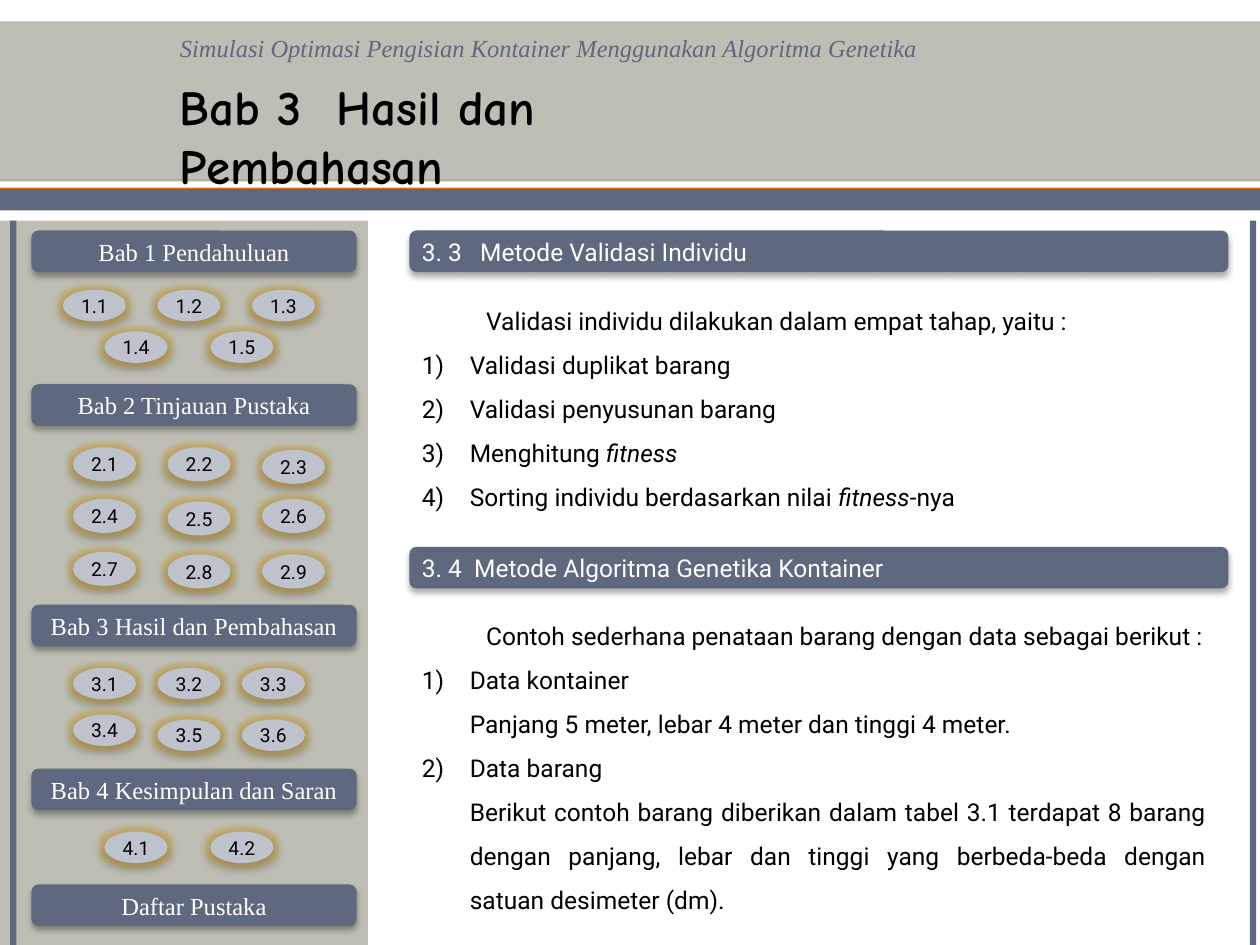
"""Build the slide on individual validation and the container genetic algorithm."""
from pptx import Presentation
from pptx.dml.color import RGBColor
from pptx.enum.shapes import MSO_SHAPE as Shape
from pptx.enum.text import MSO_ANCHOR as Anchor, PP_ALIGN as Align
from pptx.oxml import parse_xml
from pptx.oxml.ns import nsdecls, qn
from pptx.util import Inches, Pt

SLATE, STONE, PALE, WHITE, BLACK = "5E687E", "BEBEB4", "BEC3CE", "FFFFFF", "000000"
SERIF, SANS = "Times New Roman", "Roboto"
GLOW = '<a:glow {} rad="63500"><a:srgbClr val="D2A030"><a:alpha val="45000"/></a:srgbClr></a:glow>'
SHADOW = (
    '<a:outerShdw {} blurRad="44450" dist="27940" dir="5400000" algn="ctr" rotWithShape="0">'
    '<a:srgbClr val="000000"><a:alpha val="32000"/></a:srgbClr></a:outerShdw>'
)

presentation = Presentation()
presentation.slide_width, presentation.slide_height = Inches(10), Inches(7.5)
slide = presentation.slides.add_slide(presentation.slide_layouts[6])


def add_block(kind, left, top, width, height, color, effects=()):
    shape = slide.shapes.add_shape(kind, Inches(left), Inches(top), Inches(width), Inches(height))
    shape.fill.solid()
    shape.fill.fore_color.rgb = RGBColor.from_string(color)
    shape.line.fill.background()
    shape.shadow.inherit = False
    for effect in effects:
        shape.element.spPr.find(qn("a:effectLst")).append(parse_xml(effect.format(nsdecls("a"))))
    return shape


def write_text(shape, *texts, size=14, font=SANS, color=BLACK, bold=False, italic=False,
               align=Align.LEFT, anchor=Anchor.TOP, inset=None, spacing=None):
    frame = shape.text_frame
    frame.word_wrap = True
    frame.vertical_anchor = anchor
    if inset is not None:
        frame.margin_left = frame.margin_right = frame.margin_top = frame.margin_bottom = inset
    for index, (text, margin, indent, number) in enumerate(texts):
        paragraph = frame.paragraphs[0] if index == 0 else frame.add_paragraph()
        properties = paragraph._p.get_or_add_pPr()
        properties.set("marL", str(Inches(margin)))
        properties.set("indent", str(Inches(indent)))
        if number:
            properties.append(parse_xml(
                f'<a:buAutoNum {nsdecls("a")} type="arabicParenR" startAt="{number}"/>'))
        paragraph.alignment = align
        paragraph.line_spacing = spacing
        for part, words in enumerate(text.split("*")):
            run = paragraph.add_run()
            run.text = words
            run.font.size, run.font.name = Pt(size), font
            run.font.bold, run.font.italic = bold, italic or part % 2 == 1
            run.font.color.rgb = RGBColor.from_string(color)


for left, top, width, height, color in [
    (0, 0.18, 10, 1.26, "ABB19F"),
    (0, 1.49, 10, 0.16, "F4680B"),
    (0, 0.17, 10, 1.25, STONE),
    (0, 1.5, 10, 0.17, SLATE),
    (0, 1.75, 2.92, 5.75, STONE),
    (0.08, 1.75, 0.05, 5.75, SLATE),
    (9.92, 1.75, 0.05, 5.75, SLATE),
]:
    add_block(Shape.RECTANGLE, left, top, width, height, color)

tagline = slide.shapes.add_textbox(Inches(1.33), Inches(0.21), Inches(8.67), Inches(0.34))
write_text(tagline, ("Simulasi Optimasi Pengisian Kontainer Menggunakan Algoritma Genetika", 0, 0, 0),
           font=SERIF, color=SLATE, italic=True)
title = slide.shapes.add_textbox(Inches(1.33), Inches(0.56), Inches(5.17), Inches(0.57))
write_text(title, ("Bab 3  Hasil dan Pembahasan", 0, 0, 0), size=28, font="Comic Neue", bold=True)

chapters = [
    ("Bab 1 Pendahuluan", 1.83, 0.25,
     [(0.5, 2.3), (1.25, 2.3), (2, 2.3), (0.83, 2.63), (1.67, 2.63)]),
    ("Bab 2 Tinjauan Pustaka", 3.05, 0.27,
     [(0.58, 3.55), (1.33, 3.55), (2.08, 3.57), (0.58, 3.96), (1.33, 3.98), (2.08, 3.96),
      (0.58, 4.38), (1.33, 4.4), (2.08, 4.4)]),
    ("Bab 3 Hasil dan Pembahasan", 4.8, 0.25,
     [(0.58, 5.3), (1.25, 5.3), (1.92, 5.3), (0.58, 5.67), (1.25, 5.71), (1.92, 5.71)]),
    ("Bab 4 Kesimpulan dan Saran", 6.1, 0.25, [(0.83, 6.6), (1.67, 6.6)]),
    ("Daftar Pustaka", 7.02, 0.25, []),
]
for chapter, (name, top, height, buttons) in enumerate(chapters, 1):
    bar = add_block(Shape.FLOWCHART_ALTERNATE_PROCESS, 0.25, top, 2.58, 0.33, SLATE, [SHADOW])
    write_text(bar, (name, 0, 0, 0), font=SERIF, color=WHITE, align=Align.CENTER, anchor=Anchor.MIDDLE)
    for section, (left, button_top) in enumerate(buttons, 1):
        button = add_block(Shape.OVAL, left, button_top, 0.5, height, PALE, [GLOW, SHADOW])
        write_text(button, (f"{chapter}.{section}", 0, 0, 0), size=11, align=Align.CENTER,
                   anchor=Anchor.MIDDLE, inset=0)

sections = [
    ("3. 3   Metode Validasi Individu", 1.83, 2.26, 1.82, [
        ("Validasi individu dilakukan dalam empat tahap, yaitu :", 0, 0.51, 0),
        ("Validasi duplikat barang", 0.38, -0.38, 1),
        ("Validasi penyusunan barang", 0.38, -0.38, 1),
        ("Menghitung *fitness*", 0.38, -0.38, 1),
        ("Sorting individu berdasarkan nilai *fitness*-nya", 0.38, -0.38, 1),
    ]),
    ("3. 4  Metode Algoritma Genetika Kontainer", 4.34, 4.76, 2.57, [
        ("Contoh sederhana penataan barang dengan data sebagai berikut :", 0, 0.51, 0),
        ("Data kontainer", 0.38, -0.38, 1),
        ("Panjang 5 meter, lebar 4 meter dan tinggi 4 meter.", 0.38, 0, 0),
        ("Data barang", 0.38, -0.38, 2),
        ("Berikut contoh barang diberikan dalam tabel 3.1 terdapat 8 barang dengan panjang, "
         "lebar dan tinggi yang berbeda-beda dengan satuan desimeter (dm).", 0.38, 0, 0),
    ]),
]
for heading, heading_top, body_top, body_height, texts in sections:
    bar = add_block(Shape.FLOWCHART_ALTERNATE_PROCESS, 3.25, heading_top, 6.5, 0.33, SLATE, [SHADOW])
    bar_label = slide.shapes.add_textbox(Inches(3.25), Inches(heading_top), Inches(6.5), Inches(0.34))
    write_text(bar_label, (heading, 0, 0, 0), color=WHITE)
    body = slide.shapes.add_textbox(Inches(3.25), Inches(body_top), Inches(6.42), Inches(body_height))
    write_text(body, *texts, align=Align.JUSTIFY, spacing=1.5)

presentation.save("out.pptx")
